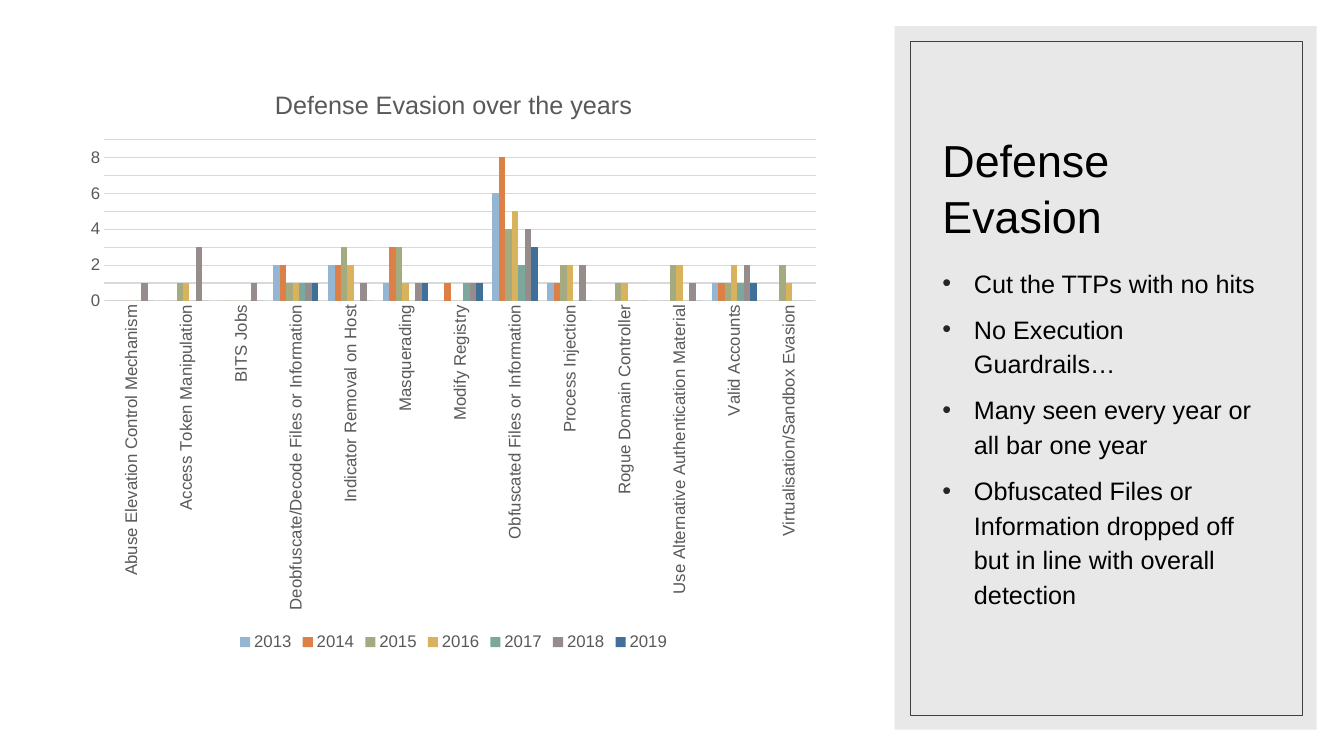
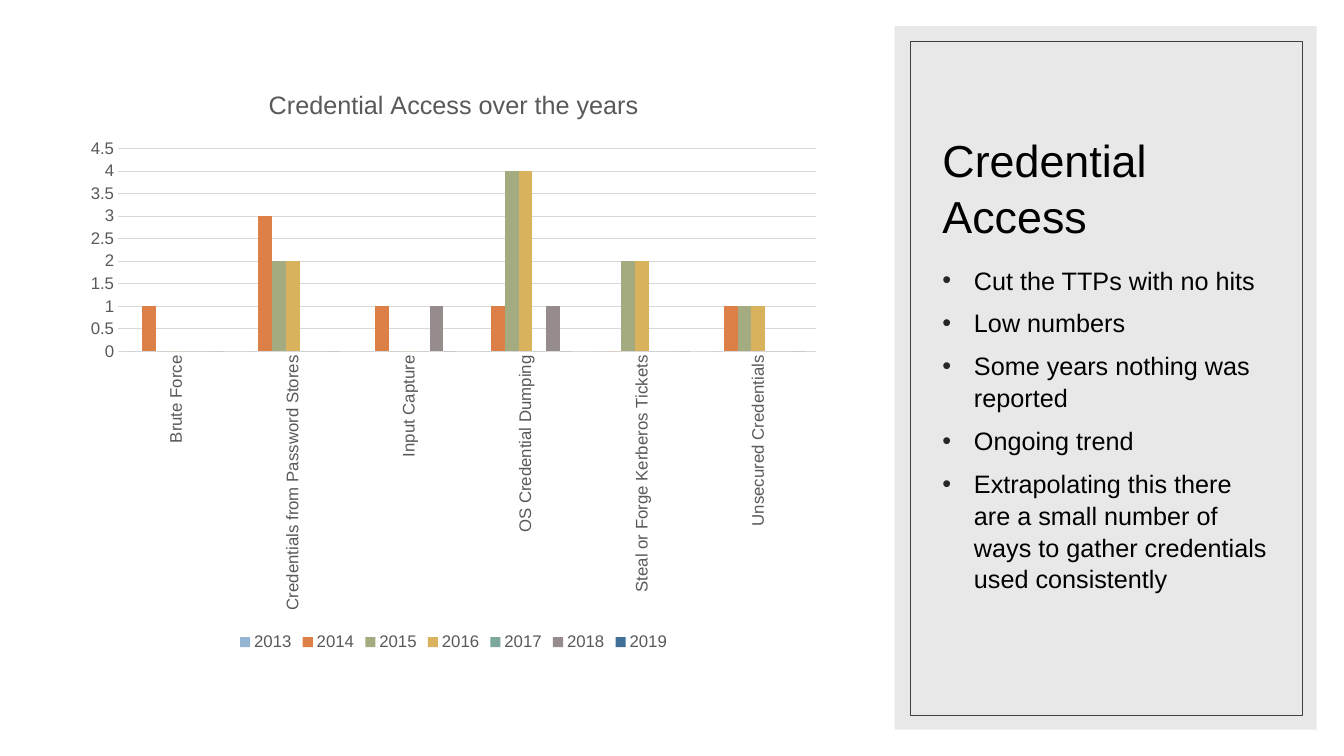
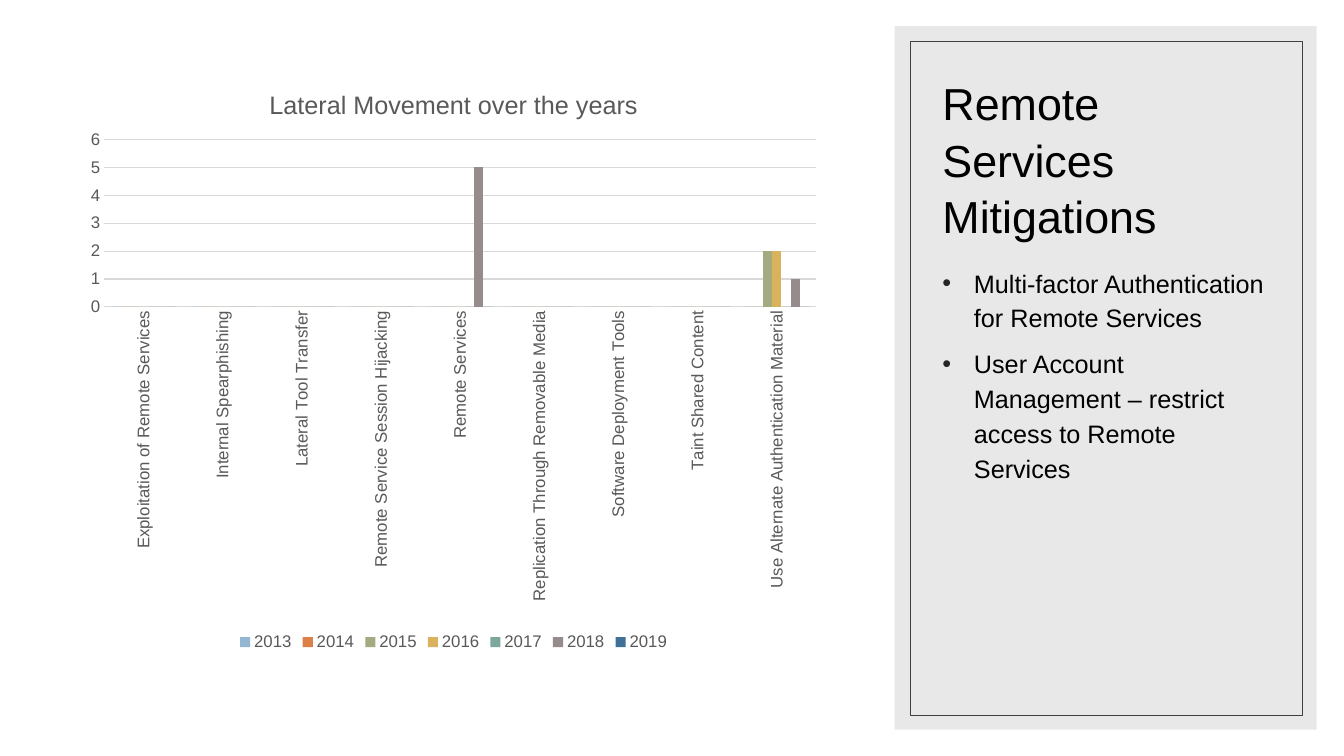
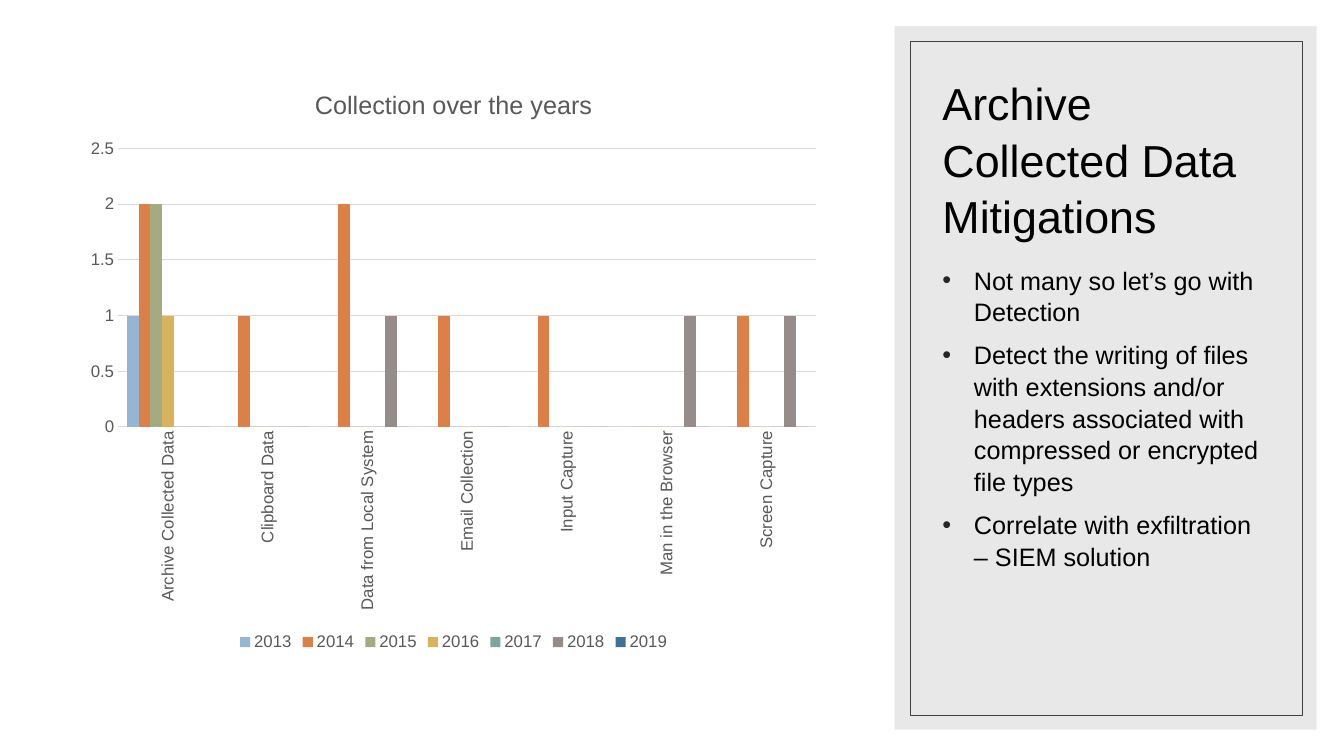
from lxml.etree import SubElement
from pptx import Presentation
from pptx.chart.data import CategoryChartData
from pptx.dml.color import RGBColor
from pptx.enum.chart import XL_CHART_TYPE, XL_LEGEND_POSITION, XL_TICK_MARK
from pptx.enum.shapes import MSO_SHAPE
from pptx.enum.text import MSO_ANCHOR, MSO_AUTO_SIZE, PP_ALIGN
from pptx.oxml.ns import qn
from pptx.util import Emu, Pt

# Shared look
FONT = "Arial"
BLACK, GRAY, GRID, FRAME, BULLET = "000000", "595959", "D9D9D9", "404040", "262626"
SERIES = {"2013": "94B6D2", "2014": "DD8047", "2015": "A5AB81", "2016": "D8B25C",
          "2017": "7BA79D", "2018": "968C8C", "2019": "407097"}
TITLE_BOX = (888, 63, 332, 173)
BODY_BOX = (888, 246, 332, 378)
CHART_BOX = (72, 64, 720, 560)
INDENT = 30
TIGHT, LOOSE = 1.05, 1.15
NO_HITS = "0" * len(SERIES)

# Each slide: title, chart title, hits per technique (one digit a year),
# line spacing, points
SLIDES = [
    ("Defense Evasion", "Defense Evasion over the years", {
        "Abuse Elevation Control Mechanism": "0000010",
        "Access Token Manipulation": "0011030",
        "BITS Jobs": "0000010",
        "Deobfuscate/Decode Files or Information": "2211111",
        "Indicator Removal on Host": "2232010",
        "Masquerading": "1331011",
        "Modify Registry": "0100111",
        "Obfuscated Files or Information": "6845243",
        "Process Injection": "1122020",
        "Rogue Domain Controller": "0011000",
        "Use Alternative Authentication Material": "0022010",
        "Valid Accounts": "1112121",
        "Virtualisation/Sandbox Evasion": "0021000",
    }, LOOSE, [
        "Cut the TTPs with no hits",
        "No Execution Guardrails…",
        "Many seen every year or all bar one year",
        "Obfuscated Files or Information dropped off but in line with overall detection",
    ]),
    ("Credential Access", "Credential Access over the years", {
        "Brute Force": "0100000",
        "Credentials from Password Stores": "0322000",
        "Input Capture": "0100010",
        "OS Credential Dumping": "0144010",
        "Steal or Forge Kerberos Tickets": "0022000",
        "Unsecured Credentials": "0111000",
    }, TIGHT, [
        "Cut the TTPs with no hits",
        "Low numbers",
        "Some years nothing was reported",
        "Ongoing trend",
        "Extrapolating this there are a small number of ways to gather credentials "
        "used consistently",
    ]),
    ("Remote Services Mitigations", "Lateral Movement over the years", {
        "Exploitation of Remote Services": NO_HITS,
        "Internal Spearphishing": NO_HITS,
        "Lateral Tool Transfer": NO_HITS,
        "Remote Service Session Hijacking": NO_HITS,
        "Remote Services": "0000050",
        "Replication Through Removable Media": NO_HITS,
        "Software Deployment Tools": NO_HITS,
        "Taint Shared Content": NO_HITS,
        "Use Alternate Authentication Material": "0022010",
    }, LOOSE, [
        "Multi-factor Authentication for Remote Services",
        "User Account Management – restrict access to Remote Services",
    ]),
    ("Archive Collected Data Mitigations", "Collection over the years", {
        "Archive Collected Data": "1221000",
        "Clipboard Data": "0100000",
        "Data from Local System": "0200010",
        "Email Collection": "0100000",
        "Input Capture": "0100000",
        "Man in the Browser": "0000010",
        "Screen Capture": "0100010",
    }, TIGHT, [
        "Not many so let’s go with Detection",
        "Detect the writing of files with extensions and/or headers associated with "
        "compressed or encrypted file types",
        "Correlate with exfiltration – SIEM solution",
    ]),
]


def px(n):
    return Emu(n * 9525)


def rgb(color):
    return RGBColor.from_string(color)


def place(sp, box):
    sp.left, sp.top, sp.width, sp.height = map(px, box)


def style_font(font, size, color):
    font.name, font.size, font.bold = FONT, Pt(size), False
    font.color.rgb = rgb(color)


def write(p, text, size=18, color=BLACK, align=PP_ALIGN.LEFT, spacing=TIGHT, before=0):
    p.alignment, p.line_spacing, p.space_before = align, spacing, Pt(before)
    r = p.add_run()
    r.text = text
    style_font(r.font, size, color)


def add_bullet(p):
    pPr = p._p.get_or_add_pPr()
    pPr.set("marL", str(px(INDENT)))
    pPr.set("indent", str(-px(INDENT)))
    SubElement(SubElement(pPr, qn("a:buClr")), qn("a:srgbClr"), val=BULLET)
    SubElement(pPr, qn("a:buChar"), char="•")


def add_rect(s, box, fill=None, alpha=100, line=None):
    sp = s.shapes.add_shape(MSO_SHAPE.RECTANGLE, *map(px, box))
    sp.shadow.inherit = False
    if fill:
        sp.fill.solid()
        sp.fill.fore_color.rgb = rgb(fill)
        color = sp._element.spPr.find(qn("a:solidFill"))[0]
        SubElement(color, qn("a:alpha"), val=str(alpha * 1000))
    else:
        sp.fill.background()
    if line:
        sp.line.color.rgb = rgb(line)
        sp.line.width = Pt(0.5)
    else:
        sp.line.fill.background()
    return sp


def set_up_layout(layout, s):
    """Put the side panel and the text positions on the layout."""
    panel = add_rect(s, (852, 25, 402, 670), fill=GRID, alpha=60)
    frame = add_rect(s, (867, 39, 373, 642), line=FRAME)
    for i, sp in enumerate((panel, frame)):
        layout.shapes.element.insert(2 + i, sp._element)
    for ph, box in zip(layout.placeholders, (TITLE_BOX, BODY_BOX)):
        place(ph, box)


def add_texts(s, title, points, spacing):
    title_ph, body_ph = s.placeholders
    for ph, anchor in ((title_ph, MSO_ANCHOR.BOTTOM), (body_ph, MSO_ANCHOR.TOP)):
        tf = ph.text_frame
        tf.word_wrap, tf.auto_size, tf.vertical_anchor = True, MSO_AUTO_SIZE.NONE, anchor
    write(title_ph.text_frame.paragraphs[0], title, size=32)
    tf = body_ph.text_frame
    for i, point in enumerate(points):
        p = tf.add_paragraph() if i else tf.paragraphs[0]
        write(p, point, spacing=spacing, before=8)
        add_bullet(p)


def style_axis(axis):
    axis.major_tick_mark = axis.minor_tick_mark = XL_TICK_MARK.NONE
    axis.format.line.fill.background()
    style_font(axis.tick_labels.font, 12, GRAY)


def add_column_chart(s, title, hits):
    data = CategoryChartData()
    data.categories = list(hits)
    for year, digits in zip(SERIES, zip(*hits.values())):
        data.add_series(year, map(int, digits))
    chart = s.shapes.add_chart(XL_CHART_TYPE.COLUMN_CLUSTERED,
                               *map(px, CHART_BOX), data).chart
    style_font(chart.font, 10, BLACK)

    # Title and legend
    chart.has_title = True
    write(chart.chart_title.text_frame.paragraphs[0], title, color=GRAY,
          align=PP_ALIGN.CENTER)
    chart.chart_title.include_in_layout = False
    chart.has_legend = True
    chart.legend.position = XL_LEGEND_POSITION.BOTTOM
    chart.legend.include_in_layout = False
    style_font(chart.legend.font, 12, GRAY)

    # Axes
    style_axis(chart.category_axis)
    style_axis(chart.value_axis)
    body = chart.category_axis._element.find(qn("c:txPr")).find(qn("a:bodyPr"))
    body.set("rot", "-5400000")
    body.set("vert", "horz")
    grid = chart.value_axis.major_gridlines.format.line
    grid.color.rgb = rgb(GRID)
    grid.width = Pt(0.75)

    # Columns
    plot = chart.plots[0]
    plot.gap_width, plot.overlap, plot.vary_by_categories = 150, 0, False
    for series, color in zip(plot.series, SERIES.values()):
        series.format.fill.solid()
        series.format.fill.fore_color.rgb = rgb(color)


def main():
    prs = Presentation()
    prs.slide_width, prs.slide_height = px(1280), px(720)
    layout = prs.slide_layouts[1]
    for i, (title, chart_title, hits, spacing, points) in enumerate(SLIDES):
        s = prs.slides.add_slide(layout)
        if i == 0:
            set_up_layout(layout, s)
        add_texts(s, title, points, spacing)
        add_column_chart(s, chart_title, hits)
    prs.save("out.pptx")


if __name__ == "__main__":
    main()
